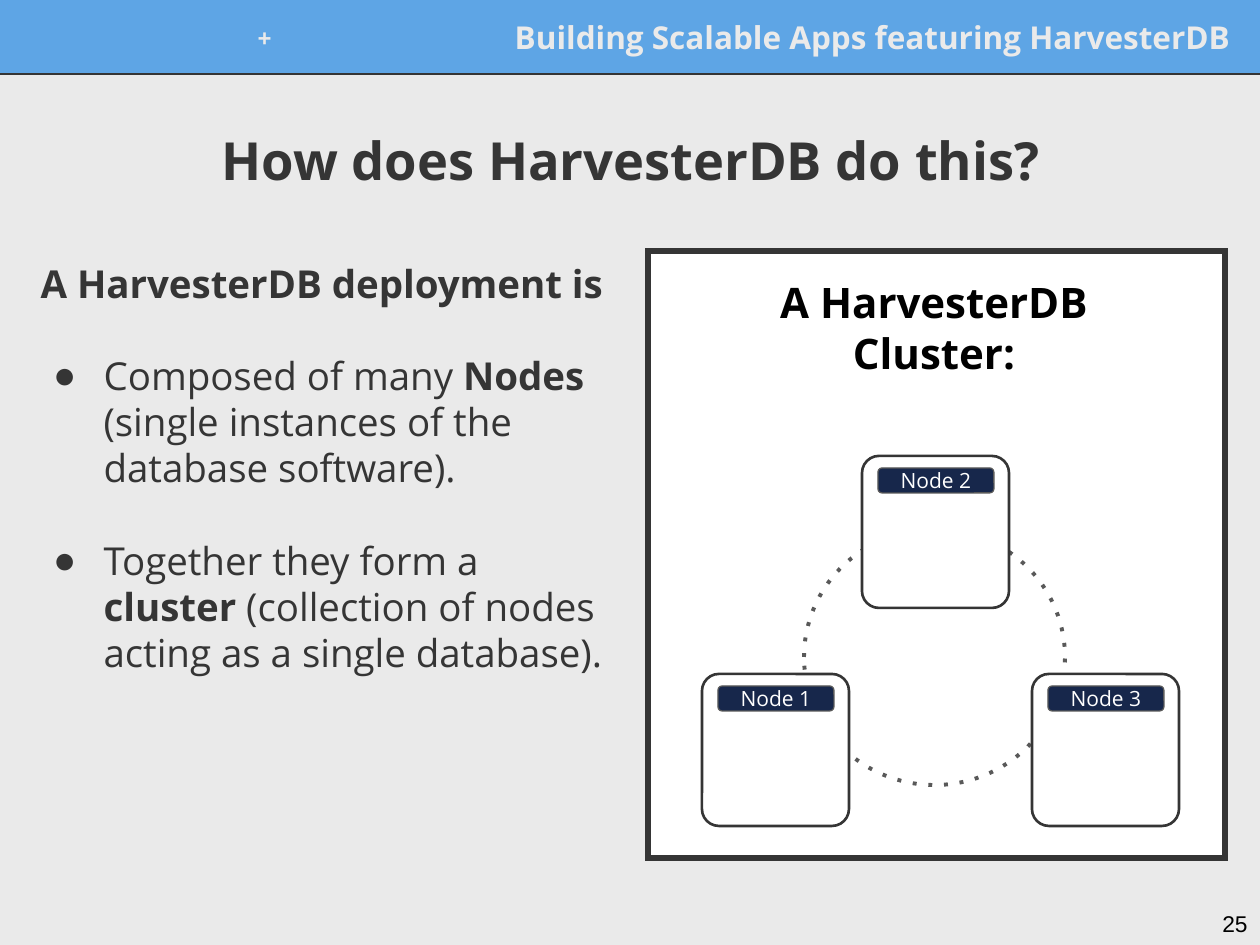
from typing import NamedTuple

from lxml.etree import SubElement
from pptx import Presentation
from pptx.dml.color import RGBColor
from pptx.enum.dml import MSO_LINE
from pptx.enum.shapes import MSO_CONNECTOR, MSO_SHAPE
from pptx.enum.text import MSO_ANCHOR, MSO_AUTO_SIZE, PP_ALIGN
from pptx.oxml.ns import qn
from pptx.util import Inches, Pt

SCALE = 914400 / 126  # EMU per px
PAPER = RGBColor(0xEA, 0xEA, 0xEA)
BLUE = RGBColor(0x5E, 0xA5, 0xE5)
DARK = RGBColor(0x35, 0x35, 0x35)
GRAY = RGBColor(0x59, 0x59, 0x59)
NAVY = RGBColor(0x17, 0x27, 0x4B)
WHITE = RGBColor(0xFF, 0xFF, 0xFF)
BLACK = RGBColor(0, 0, 0)


class Box(NamedTuple):
    x: int
    y: int
    w: int
    h: int


class Node(NamedTuple):
    name: str
    x: int
    y: int


NODES = [Node("Node 2", 862, 456), Node("Node 3", 1032, 674), Node("Node 1", 702, 674)]


def px(n: int) -> int:
    return round(n * SCALE)


def place(shape, box: Box) -> None:
    shape.left, shape.top, shape.width, shape.height = map(px, box)


def bullet(para, char: str = "") -> None:
    """Give a paragraph a hanging bullet, or none."""
    props = para._p.get_or_add_pPr()
    props.set("marL", str(Inches(0.5) if char else 0))
    props.set("indent", str(Inches(-0.4) if char else 0))
    if not char:
        SubElement(props, qn("a:buNone"))
        return
    color = SubElement(props, qn("a:buClr"))
    SubElement(color, qn("a:srgbClr"), val=str(DARK))
    SubElement(props, qn("a:buFont"), typeface="Arial")
    SubElement(props, qn("a:buChar"), char=char)


def write(para, text: str, *, size: float, color: RGBColor, bold: bool = False,
          align=PP_ALIGN.LEFT, font: str = "Open Sans", before: float = 0) -> None:
    """Fill a paragraph; parts between asterisks are bold."""
    para.alignment = align
    para.space_before = Pt(before)
    para.line_spacing = 1.0
    for i, part in enumerate(text.split("*")):
        if part:
            run = para.add_run()
            run.text = part
            run.font.name, run.font.size = font, Pt(size)
            run.font.bold = bold or i % 2 == 1
            run.font.color.rgb = color


def setup(shape, anchor=MSO_ANCHOR.MIDDLE):
    """Set margins, wrapping and anchor of a text frame."""
    frame = shape.text_frame
    frame.word_wrap = True
    frame.auto_size = MSO_AUTO_SIZE.NONE
    frame.vertical_anchor = anchor
    frame.margin_left = frame.margin_right = Inches(0.1)
    frame.margin_top = frame.margin_bottom = Inches(0.1)
    return frame


def label(slide, box: Box, text: str, anchor=MSO_ANCHOR.MIDDLE, **style) -> None:
    shape = slide.shapes.add_textbox(*map(px, box))
    write(setup(shape, anchor).paragraphs[0], text, **style)


def draw(slide, kind, box: Box, line: RGBColor, width: float,
         fill: RGBColor | None = None, round_by: float | None = None):
    shape = slide.shapes.add_shape(kind, *map(px, box))
    shape.shadow.inherit = False
    if fill is None:
        shape.fill.background()
    else:
        shape.fill.solid()
        shape.fill.fore_color.rgb = fill
    shape.line.color.rgb = line
    shape.line.width = Pt(width)
    if round_by is not None:
        shape.adjustments[0] = round_by
    return shape


def draw_node(slide, node: Node) -> None:
    draw(slide, MSO_SHAPE.ROUNDED_RECTANGLE, Box(node.x, node.y, 147, 152),
         DARK, 1.5, WHITE, 0.115)
    tag = draw(slide, MSO_SHAPE.ROUNDED_RECTANGLE, Box(node.x + 16, node.y + 12, 116, 25),
               GRAY, 0.75, NAVY, 0.167)
    write(setup(tag).paragraphs[0], node.name, size=12, color=WHITE, align=PP_ALIGN.CENTER)


def main() -> None:
    deck = Presentation()
    deck.slide_width, deck.slide_height = px(1260), px(945)
    slide = deck.slides.add_slide(deck.slide_layouts[1])
    slide.background.fill.solid()
    slide.background.fill.fore_color.rgb = PAPER

    # Header band
    draw(slide, MSO_SHAPE.RECTANGLE, Box(0, 0, 1260, 74), BLUE, 0.75, BLUE)
    rule = slide.shapes.add_connector(MSO_CONNECTOR.STRAIGHT, 0, px(74), px(1260), px(74))
    rule.line.color.rgb = DARK
    rule.line.width = Pt(1.5)
    SubElement(rule._element.spPr, qn("a:effectLst"))
    head = dict(color=PAPER, bold=True, align=PP_ALIGN.RIGHT)
    label(slide, Box(244, 14, 40, 48), "+", size=14, **head)
    label(slide, Box(485, 13, 758, 48), "Building Scalable Apps featuring HarvesterDB",
          size=18, **head)

    # Title
    title = slide.shapes.title
    place(title, Box(23, 89, 1216, 141))
    write(setup(title).paragraphs[0], "How does HarvesterDB do this?",
          size=30, color=DARK, bold=True, align=PP_ALIGN.CENTER)

    # Lead line and bullets
    body = slide.placeholders[1]
    place(body, Box(28, 247, 601, 607))
    frame = setup(body, MSO_ANCHOR.TOP)
    lead = frame.paragraphs[0]
    bullet(lead)
    write(lead, "A HarvesterDB deployment is", size=22, color=DARK, bold=True)
    for text in (
        "Composed of many *Nodes* (single instances of the database software).",
        "Together they form a *cluster* (collection of nodes acting as a single database).",
    ):
        item = frame.add_paragraph()
        bullet(item, "●")
        write(item, text, size=22, color=DARK, before=26.4)

    # Cluster panel with square corners
    panel = draw(slide, MSO_SHAPE.RECTANGLE, Box(648, 251, 577, 607), DARK, 3, WHITE)
    SubElement(panel.line._ln, qn("a:miter"), lim="800000")
    ring = draw(slide, MSO_SHAPE.OVAL, Box(804, 529, 261, 256), GRAY, 2.25)
    ring.line.dash_style = MSO_LINE.ROUND_DOT
    # ROUND_DOT is sysDot in the file; the ring needs the wider "dot" gaps
    ring.line._ln.find(qn("a:prstDash")).set("val", "dot")
    for node in NODES:
        draw_node(slide, node)
    label(slide, Box(707, 279, 454, 96), "A HarvesterDB Cluster:",
          size=24, color=BLACK, bold=True, align=PP_ALIGN.CENTER)

    # Page number
    label(slide, Box(1184, 897, 76, 48), "25", MSO_ANCHOR.TOP,
          size=13, color=BLACK, align=PP_ALIGN.RIGHT, font="Arial")

    deck.save("out.pptx")


if __name__ == "__main__":
    main()
